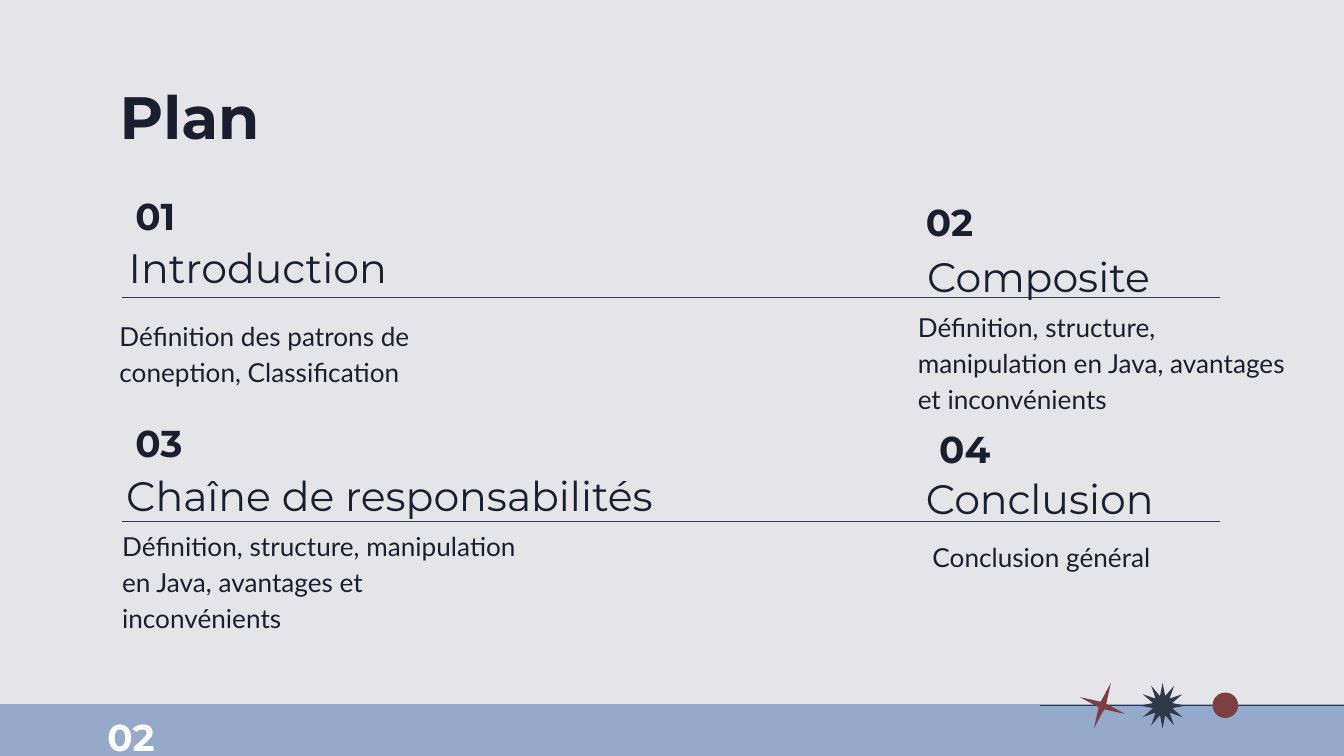
from dataclasses import dataclass

from lxml.etree import SubElement
from pptx import Presentation
from pptx.dml.color import RGBColor
from pptx.enum.shapes import MSO_CONNECTOR as CONN, MSO_SHAPE as SHAPE
from pptx.enum.text import MSO_ANCHOR as ANCHOR
from pptx.oxml.ns import qn
from pptx.util import Pt


@dataclass(frozen=True)
class Theme:
    bg: str = "E5E4E9"
    band: str = "95AACB"
    ink: str = "1B1E2E"
    slate: str = "30394A"
    wine: str = "7C3F43"
    white: str = "FFFFFF"
    head_font: str = "Montserrat"
    body_font: str = "Lato"
    title: int = 32
    heading: int = 22
    number: int = 20
    body: int = 14


T = Theme()

SECTIONS = [
    ("01", (65.5, 95.8), "Introduction", (61.9, 124.6, 174),
     "Définition des patrons de coneption, Classification", (56.9, 162, 174.2)),
    ("02", (488.9, 99.4), "Composite", (489.6, 129.6, 174),
     "Définition, structure, manipulation en Java, avantages et inconvénients",
     (484.6, 157, 221)),
    ("03", (65.5, 217.4), "Chaîne de responsabilités", (60.5, 247, 316),
     "Définition, structure, manipulation en Java, avantages et inconvénients",
     (58.3, 274.3, 231)),
    ("04", (496.1, 221), "Conclusion", (488.9, 248.4, 174),
     "Conclusion général", (492.5, 280.1, 174)),
]


def rgb(code):
    return RGBColor.from_string(code)


def place(sp, left, top, width, height):
    sp.left, sp.top, sp.width, sp.height = map(Pt, (left, top, width, height))


def write(sp, text, size, font=T.head_font, color=T.ink, bold=False,
          anchor=ANCHOR.TOP, spacing=1.15):
    tf = sp.text_frame
    tf.word_wrap = True
    tf.vertical_anchor = anchor
    tf.margin_left = tf.margin_right = tf.margin_top = tf.margin_bottom = Pt(7.2)
    p = tf.paragraphs[0]
    p.line_spacing = spacing
    r = p.add_run()
    r.text = text
    r.font.size, r.font.name, r.font.bold = Pt(size), font, bold
    r.font.color.rgb = rgb(color)


def add_text(s, box, text, size, **fmt):
    write(s.shapes.add_textbox(*map(Pt, box)), text, size, **fmt)


def add_title(s, box, text):
    sp = s.shapes.title
    place(sp, *box)
    write(sp, text, T.title, bold=True, spacing=1.0)
    sp.text_frame.paragraphs[0].alignment = 1


def add_shape(s, kind, box, color, adj=None, rotation=0):
    sp = s.shapes.add_shape(kind, *map(Pt, box))
    sp.shadow.inherit = False
    sp.fill.solid()
    sp.fill.fore_color.rgb = rgb(color)
    sp.line.fill.background()
    sp.rotation = rotation
    if adj is not None:
        sp.adjustments[0] = adj


def add_rule(s, left, right, y):
    line = s.shapes.add_connector(CONN.STRAIGHT, Pt(left), Pt(y), Pt(right), Pt(y))
    line.line.color.rgb = rgb(T.slate)
    line.line.width = Pt(0.75)
    SubElement(line._element.spPr, qn("a:effectLst"))


def add_footer(s):
    add_shape(s, SHAPE.RECTANGLE, (0, 377.3, 720, 28), T.band)
    add_rule(s, 557.3, 723.6, 378)
    add_shape(s, SHAPE.OVAL, (649.6, 371, 13.7, 13.7), T.wine)
    add_shape(s, SHAPE.STAR_4_POINT, (577.6, 365, 26, 26), T.wine, 0.087, 20.4)
    add_shape(s, SHAPE.STAR_12_POINT, (610.6, 365.8, 24.5, 24.5), T.slate, 0.217)
    add_text(s, (50.4, 376.6, 44, 32.4), "02", T.number, color=T.white,
             bold=True, anchor=ANCHOR.MIDDLE)


def add_section(s, number, num_at, heading, head_at, body, body_at):
    add_text(s, (*num_at, 57.6, 35.3), number, T.number, bold=True,
             anchor=ANCHOR.MIDDLE)
    add_text(s, (*head_at, 38.9), heading, T.heading, anchor=ANCHOR.BOTTOM)
    add_text(s, (*body_at, 49.7), body, T.body, font=T.body_font)


def main():
    prs = Presentation()
    prs.slide_width, prs.slide_height = Pt(720), Pt(405)
    s = prs.slides.add_slide(prs.slide_layouts[5])
    s.background.fill.solid()
    s.background.fill.fore_color.rgb = rgb(T.bg)
    add_footer(s)
    add_title(s, (56.9, 35.3, 607, 45.4), "Plan")
    for y in (159.5, 279.4):
        add_rule(s, 65.5, 653.8, y)
    for section in SECTIONS:
        add_section(s, *section)
    prs.save("out.pptx")


if __name__ == "__main__":
    main()
